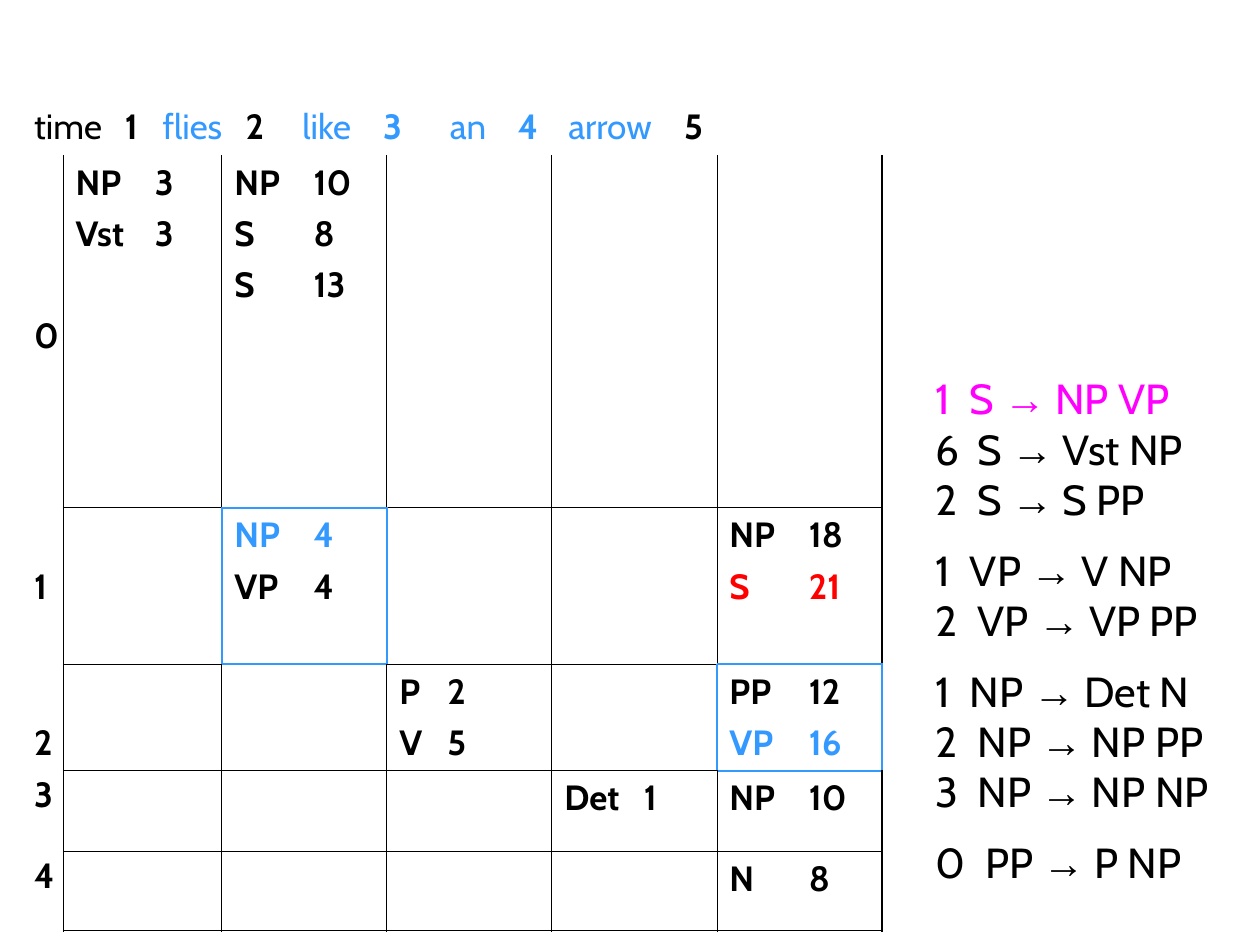
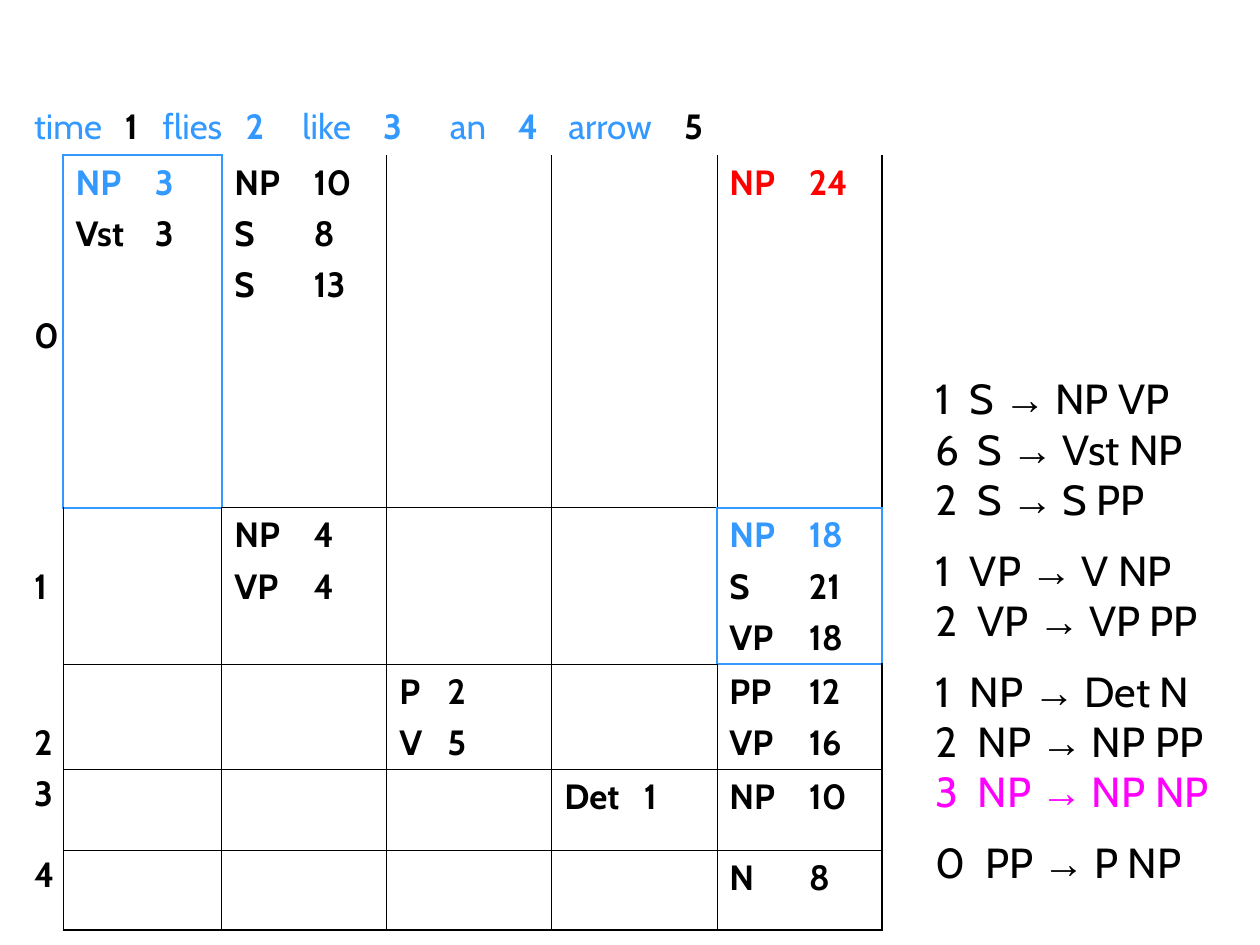
from dataclasses import dataclass

from lxml import etree
from pptx import Presentation
from pptx.dml.color import RGBColor
from pptx.enum.text import MSO_AUTO_SIZE
from pptx.oxml.ns import qn
from pptx.util import Inches, Pt

FIT_SHAPE = MSO_AUTO_SIZE.SHAPE_TO_FIT_TEXT
BLANK_LAYOUT = 6


@dataclass(frozen=True)
class Theme:
    font: str = "Cabin"
    arrow_font: str = "Arial"
    ink: str = "000000"
    used: str = "3399FF"
    new: str = "FF0000"
    rule: str = "FF00FF"
    chart_size: int = 20
    grammar_size: int = 24
    thin: float = 0.45
    thick: float = 1.08


THEME = Theme()

CHART_BOX = (0.17, 0.79, 6.83, 6.59)
GRAMMAR_BOX = (7.33, 2.91, 2.67, 4.18)
COLUMNS = [0.33, 1.26, 1.31, 1.31, 1.31, 1.31]
ROWS = [0.44, 2.8, 1.24, 0.84, 0.64, 0.63]
LAST = 5

SENTENCE = ["time", "1", "flies", "2", "like", "3", "an", "4", "arrow", "5"]
SENTENCE_TABS = [0.72, 1.02, 1.68, 2.13, 2.77, 3.3, 3.84, 4.24, 5.16]
LABEL_SPACING = [1, 2.2, 2.2, 0.9, 0.9]
ZERO_LABEL_TOP = 1.27
SCORE_TAB = 0.63
NARROW_SCORE_TABS = {(3, 3): 0.38}

# Chart entries by (row, column)
ENTRIES = {
    (1, 1): ["NP 3", "Vst 3"],
    (1, 2): ["NP 10", "S 8", "S 13"],
    (2, 2): ["NP 4", "VP 4"],
    (2, 5): ["NP 18", "S 21"],
    (3, 3): ["P 2", "V 5"],
    (3, 5): ["PP 12", "VP 16"],
    (4, 4): ["Det 1"],
    (4, 5): ["NP 10"],
    (5, 5): ["N 8"],
}
GRAMMAR = [
    ["1 S → NP VP", "6 S → Vst NP", "2 S → S PP"],
    ["1 VP → V NP", "2 VP → VP PP"],
    ["1 NP → Det N", "2 NP → NP PP", "3 NP → NP NP"],
    ["0 PP → P NP"],
]
WEIGHT_TABS = {"0": 0.39, "1": 0.27}
DEFAULT_WEIGHT_TAB = 0.33


@dataclass(frozen=True)
class Step:
    """One parsing step: the entries combined, the entry made, the rule applied."""
    entries: dict
    used: dict
    new: tuple
    rule: str
    covered: set


STEPS = [
    Step(
        entries=ENTRIES,
        used={(2, 2): "NP 4", (3, 5): "VP 16"},
        new=((2, 5), "S 21"),
        rule="1 S → NP VP",
        covered={"flies", "like", "3", "an", "4", "arrow"},
    ),
    Step(
        entries=ENTRIES | {(1, 5): ["NP 24"], (2, 5): ["NP 18", "S 21", "VP 18"]},
        used={(1, 1): "NP 3", (2, 5): "NP 18"},
        new=((1, 5), "NP 24"),
        rule="3 NP → NP NP",
        covered=set(SENTENCE) - {"1", "5"},
    ),
]


def set_tabs(p, stops):
    tab_list = etree.SubElement(p._p.get_or_add_pPr(), qn("a:tabLst"))
    for stop in stops:
        etree.SubElement(tab_list, qn("a:tab"), pos=str(Inches(stop)), algn="l")


def add_run(p, text, size, color=THEME.ink, bold=False, font=THEME.font):
    r = p.add_run()
    r.text = text
    r.font.size = Pt(size)
    r.font.name = font
    r.font.bold = bold
    r.font.color.rgb = RGBColor.from_string(color)


def edge_style(cell_at, neighbour, used):
    """Colour and width of the line between two cells, or None."""
    pair = (cell_at, neighbour)
    if any(at in used for at in pair):
        return THEME.used, THEME.thick
    rows, cols = zip(*pair)
    if min(rows) <= 0 or max(cols) == 0 or min(cols) < 0:
        return None
    if max(rows) > LAST:
        return (THEME.ink, THEME.thick) if max(cols) > 0 and min(cols) > 0 else None
    if max(cols) > LAST:
        return THEME.ink, THEME.thick
    return THEME.ink, THEME.thin


def set_borders(cell, row, col, used):
    sides = {"L": (row, col - 1), "R": (row, col + 1),
             "T": (row - 1, col), "B": (row + 1, col)}
    tc_pr = cell._tc.get_or_add_tcPr()
    for i, (side, neighbour) in enumerate(sides.items()):
        ln = etree.Element(qn(f"a:ln{side}"))
        tc_pr.insert(i, ln)
        style = edge_style((row, col), neighbour, used)
        if style is None:
            etree.SubElement(ln, qn("a:noFill"))
            continue
        color, width = style
        ln.set("w", str(Pt(width)))
        fill = etree.SubElement(ln, qn("a:solidFill"))
        etree.SubElement(fill, qn("a:srgbClr"), val=color)


def fill_sentence(cell, covered):
    p = cell.text_frame.paragraphs[0]
    set_tabs(p, SENTENCE_TABS)
    for i, token in enumerate(SENTENCE):
        color = THEME.used if token in covered else THEME.ink
        add_run(p, "\t" + token if i else token, THEME.chart_size, color,
                bold=token.isdigit())


def fill_label(cell, number):
    p = cell.text_frame.paragraphs[0]
    p.line_spacing = LABEL_SPACING[number]
    if number == 0:
        cell.margin_top = Inches(ZERO_LABEL_TOP)
    add_run(p, str(number), THEME.chart_size, bold=True)


def fill_entries(cell, at, step):
    tf = cell.text_frame
    for i, entry in enumerate(step.entries.get(at, [])):
        p = tf.add_paragraph() if i else tf.paragraphs[0]
        if i:
            p.space_before = Pt(5)
        set_tabs(p, [NARROW_SCORE_TABS.get(at, SCORE_TAB)])
        color = THEME.ink
        if step.used.get(at) == entry:
            color = THEME.used
        elif step.new == (at, entry):
            color = THEME.new
        add_run(p, entry.replace(" ", "\t"), THEME.chart_size, color, bold=True)


def add_parse_chart(slide, box, step):
    table = slide.shapes.add_table(len(ROWS), len(COLUMNS), *map(Inches, box)).table
    table.first_row = False
    table.horz_banding = False
    for column, width in zip(table.columns, COLUMNS):
        column.width = Inches(width)
    for row, height in zip(table.rows, ROWS):
        row.height = Inches(height)
    for row in range(len(ROWS)):
        for col in range(len(COLUMNS)):
            cell = table.cell(row, col)
            cell.fill.background()
            set_borders(cell, row, col, step.used)
            if row and col:
                fill_entries(cell, (row, col), step)
            elif row:
                fill_label(cell, row - 1)
    table.cell(0, 0).merge(table.cell(0, LAST))
    fill_sentence(table.cell(0, 0), step.covered)


def add_grammar(slide, box, applied):
    tf = slide.shapes.add_textbox(*map(Inches, box)).text_frame
    tf.word_wrap = True
    tf.auto_size = FIT_SHAPE
    for group, rules in enumerate(GRAMMAR):
        for i, rule in enumerate(rules):
            p = tf.add_paragraph() if group or i else tf.paragraphs[0]
            if group and i == 0:
                p.line_spacing = 1.4
            weight, production = rule.split(" ", 1)
            set_tabs(p, [WEIGHT_TABS.get(weight, DEFAULT_WEIGHT_TAB)])
            left, right = production.split("→")
            color = THEME.rule if rule == applied else THEME.ink
            size = THEME.grammar_size
            add_run(p, f"{weight}\t{left}", size, color)
            add_run(p, "→", size, color, font=THEME.arrow_font)
            add_run(p, right, size, color)


def add_step_slide(prs, step):
    slide = prs.slides.add_slide(prs.slide_layouts[BLANK_LAYOUT])
    add_parse_chart(slide, CHART_BOX, step)
    add_grammar(slide, GRAMMAR_BOX, step.rule)


def main():
    prs = Presentation()
    prs.slide_width = Inches(10)
    prs.slide_height = Inches(7.5)
    for step in STEPS:
        add_step_slide(prs, step)
    prs.save("out.pptx")


if __name__ == "__main__":
    main()
